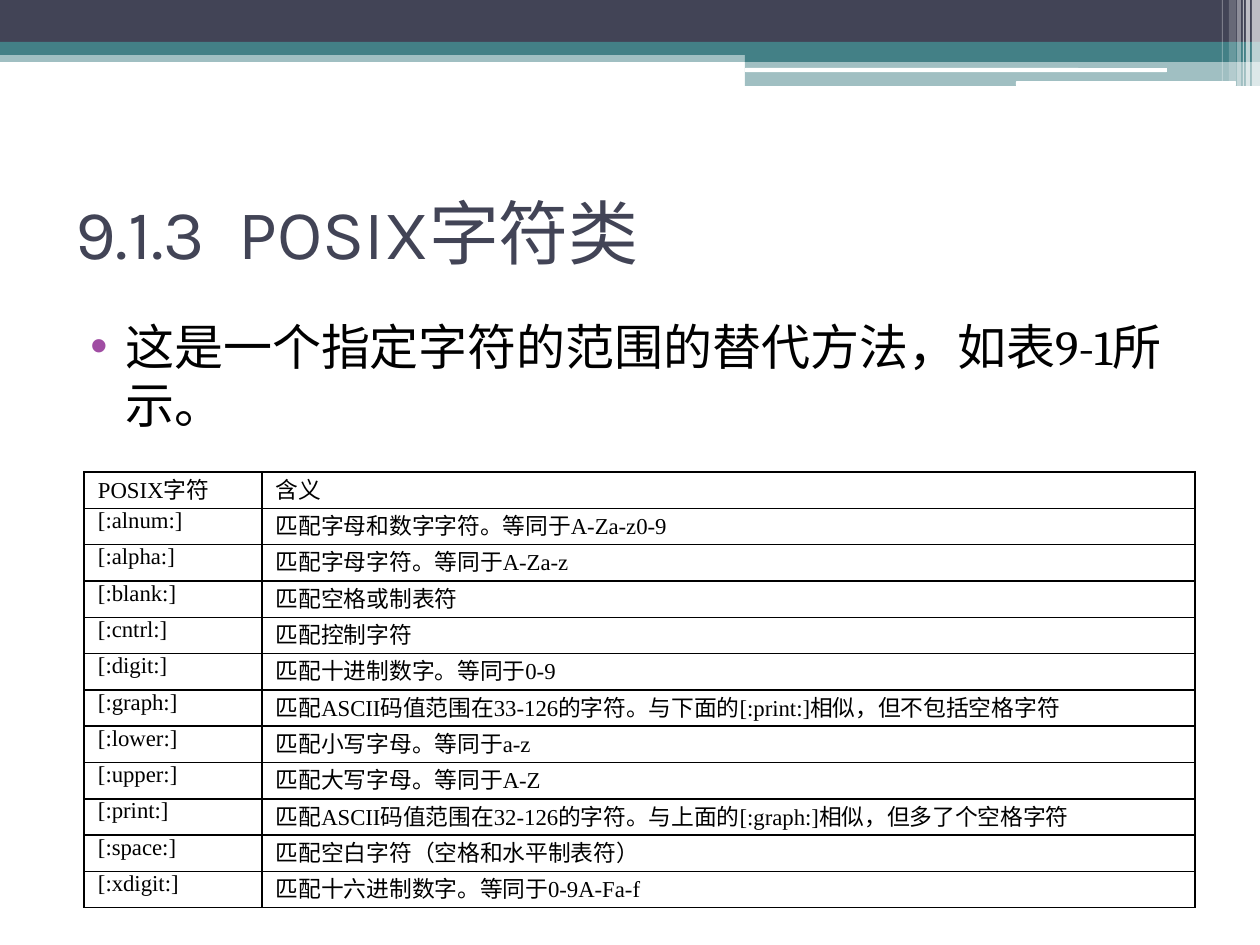
"""Build the slide on POSIX character classes."""
from dataclasses import dataclass

import pptx
import pptx.dml.color
import pptx.enum.shapes
import pptx.enum.text
import pptx.oxml
import pptx.oxml.ns
import pptx.util
from lxml import etree


@dataclass(frozen=True)
class Theme:
    navy: str = "424456"
    teal: str = "438086"
    white: str = "FFFFFF"
    black: str = "000000"
    bullet: str = "A04DA3"
    title_font: str = "Karla"
    body_font: str = "Cambria"
    table_font: str = "Times New Roman"
    title_size: int = 40
    body_size: int = 28
    table_size: int = 13


theme = Theme()
PX = 914400 // 126
RGB = pptx.dml.color.RGBColor.from_string
qn = pptx.oxml.ns.qn
MSO_SHAPE = pptx.enum.shapes.MSO_SHAPE
ANCHOR = pptx.enum.text.MSO_ANCHOR


def add_run(p, text, font, size, color):
    r = p.add_run()
    r.text = text
    r.font.name = font
    r.font.size = pptx.util.Pt(size)
    r.font.color.rgb = RGB(color)


def add_text_frame(x, y, w, h, anchor):
    tf = s.shapes.add_textbox(x * PX, y * PX, w * PX, h * PX).text_frame
    tf.word_wrap = True
    tf.vertical_anchor = anchor
    return tf


prs = pptx.Presentation()
prs.slide_width = pptx.util.Inches(10)
prs.slide_height = pptx.util.Inches(7.5)
s = prs.slides.add_slide(prs.slide_layouts[6])

RECT, ROUND = MSO_SHAPE.RECTANGLE, MSO_SHAPE.ROUNDED_RECTANGLE
bands = [
    (RECT, 0, 50, 1260, 12, theme.teal, 50),
    (RECT, 0, 0, 1260, 42, theme.navy, 100),
    (RECT, 0, 42, 1260, 13, theme.teal, 100),
    (RECT, 745, 49, 515, 13, theme.teal, 100),
    (RECT, 745, 61, 515, 25, theme.teal, 50),
    (ROUND, 745, 68, 422, 4, theme.white, 100),
    (ROUND, 1016, 81, 220, 5, theme.white, 100),
]
stripes = [
    (1252, 8, 86, 65),
    (1246, 4, 86, 65),
    (1243, 1, 86, 60),
    (1237, 4, 86, 40),
    (1229, 7, 81, 20),
    (1222, 1, 81, 30),
]
bands += [(RECT, x, 0, w, h, theme.white, alpha) for x, w, h, alpha in stripes]

for kind, x, y, w, h, color, alpha in bands:
    sp = s.shapes.add_shape(kind, x * PX, y * PX, w * PX, h * PX)
    sp.shadow.inherit = False
    sp.line.fill.background()
    sp.fill.solid()
    sp.fill.fore_color.rgb = RGB(color)
    if kind == ROUND:
        sp.adjustments[0] = 0.17
    if alpha < 100:
        clr = sp.fill._xPr.find(".//" + qn("a:srgbClr"))
        etree.SubElement(clr, qn("a:alpha"), val=str(alpha * 1000))

tf = add_text_frame(63, 158, 1134, 147, ANCHOR.MIDDLE)
add_run(tf.paragraphs[0], "9.1.3  POSIX字符类", theme.title_font, theme.title_size, theme.navy)

tf = add_text_frame(63, 310, 1134, 596, ANCHOR.TOP)
p = tf.paragraphs[0]
p.space_before = pptx.util.Pt(3)
pPr = p._p.get_or_add_pPr()
pPr.set("marL", str(50 * PX))
pPr.set("indent", str(-35 * PX))
bu_clr = etree.SubElement(pPr, qn("a:buClr"))
etree.SubElement(bu_clr, qn("a:srgbClr"), val=theme.bullet)
etree.SubElement(pPr, qn("a:buFont"), typeface="Arial")
etree.SubElement(pPr, qn("a:buChar"), char="•")
add_run(p, "这是一个指定字符的范围的替代方法，如表9-1所示。",
        theme.body_font, theme.body_size, theme.black)

rows = [
    ("POSIX字符", "含义"),
    ("[:alnum:]", "匹配字母和数字字符。等同于A-Za-z0-9"),
    ("[:alpha:]", "匹配字母字符。等同于A-Za-z"),
    ("[:blank:]", "匹配空格或制表符"),
    ("[:cntrl:]", "匹配控制字符"),
    ("[:digit:]", "匹配十进制数字。等同于0-9"),
    ("[:graph:]", "匹配ASCII码值范围在33-126的字符。与下面的[:print:]相似，但不包括空格字符"),
    ("[:lower:]", "匹配小写字母。等同于a-z"),
    ("[:upper:]", "匹配大写字母。等同于A-Z"),
    ("[:print:]", "匹配ASCII码值范围在32-126的字符。与上面的[:graph:]相似，但多了个空格字符"),
    ("[:space:]", "匹配空白字符（空格和水平制表符）"),
    ("[:xdigit:]", "匹配十六进制数字。等同于0-9A-Fa-f"),
]
table = s.shapes.add_table(len(rows), 2, 84 * PX, 472 * PX, 1111 * PX, 436 * PX).table
table.first_row = False
table.horz_banding = False
for column, width in zip(table.columns, (178, 933)):
    column.width = width * PX
for row in table.rows:
    row.height = 436 * PX // len(rows)

for i, texts in enumerate(rows):
    for j, text in enumerate(texts):
        cell = table.cell(i, j)
        cell.margin_left = cell.margin_right = 14 * PX
        cell.margin_top = cell.margin_bottom = 0
        cell.fill.background()
        add_run(cell.text_frame.paragraphs[0], text,
                theme.table_font, theme.table_size, theme.black)
        tcPr = cell._tc.get_or_add_tcPr()
        for k, side in enumerate(("a:lnL", "a:lnR", "a:lnT", "a:lnB")):
            ln = etree.Element(qn(side), w=str(pptx.util.Pt(1)))
            fill = etree.SubElement(ln, qn("a:solidFill"))
            etree.SubElement(fill, qn("a:srgbClr"), val=theme.black)
            tcPr.insert(k, ln)

prs.save("out.pptx")
